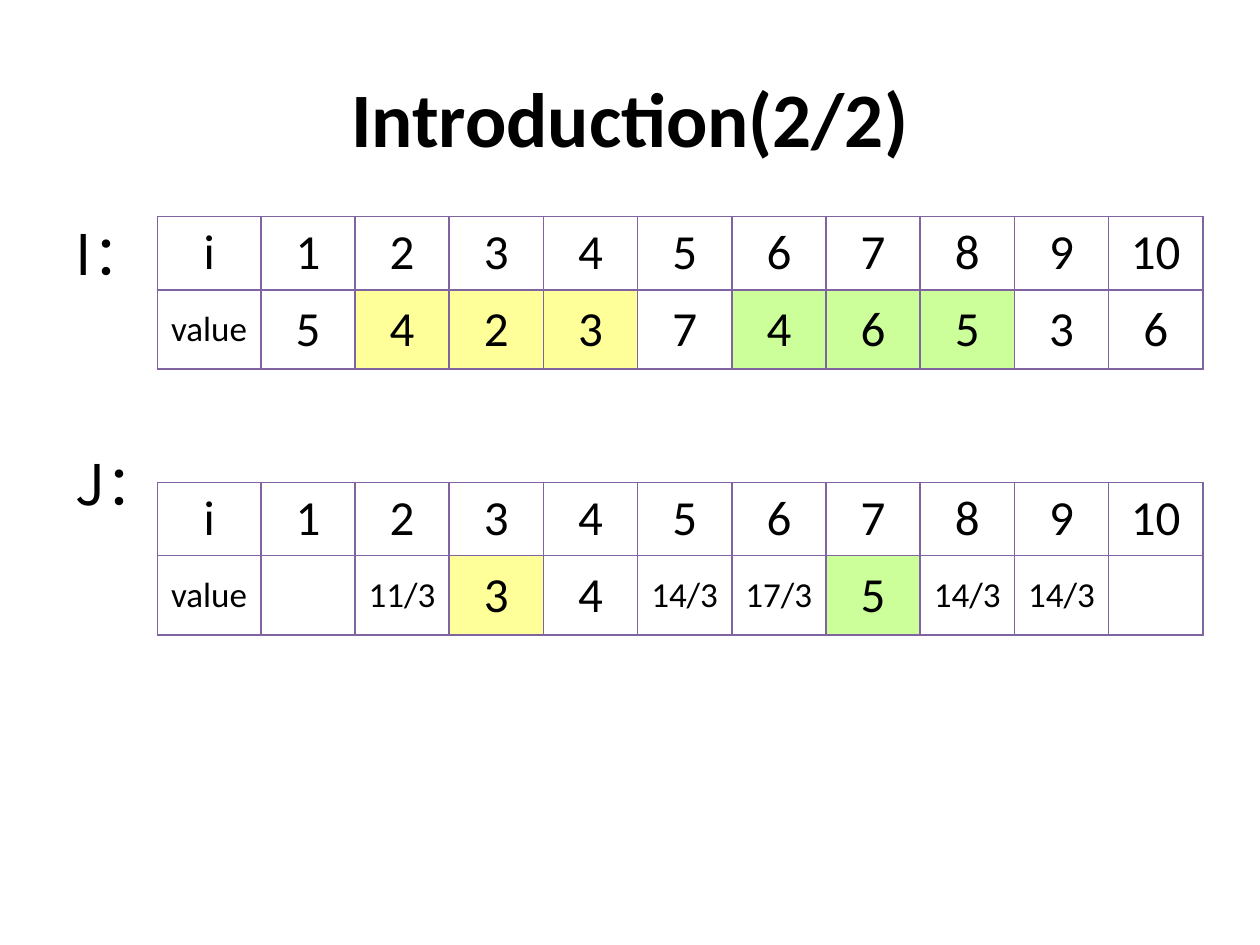
"""Build the slide that shows sequence I and its moving averages J."""
from lxml import etree
from pptx import Presentation, util as u
from pptx.dml import color
from pptx.enum import text
from pptx.oxml import ns

TITLE = "Introduction(2/2)"
LABELS = ["I", "J"]
INDEX = ["i", *map(str, range(1, 11))]
YELLOW, GREEN, BORDER, BLACK = "FFFF99", "CCFF99", "8064A2", "000000"
SEQUENCES = [
    {"top": 1.72,
     "values": ["value", "5", "4", "2", "3", "7", "4", "6", "5", "3", "6"],
     "fills": {2: YELLOW, 3: YELLOW, 4: YELLOW, 6: GREEN, 7: GREEN, 8: GREEN}},
    {"top": 3.83,
     "values": ["value", "", "11/3", "3", "4", "14/3", "17/3", "5", "14/3", "14/3", ""],
     "fills": {3: YELLOW, 7: GREEN}},
]
LEFT, WIDTH, HEAD_WIDTH = 1.25, 8.3, 0.82
ROW_HEIGHTS = [0.58, 0.63]


def rgb(code):
    return color.RGBColor.from_string(code)


def style(font, size, name="Calibri", bold=False):
    font.size, font.name, font.bold = u.Pt(size), name, bold
    font.color.rgb = rgb(BLACK)


def place(shape, left, top, width, height):
    shape.left, shape.top = u.Inches(left), u.Inches(top)
    shape.width, shape.height = u.Inches(width), u.Inches(height)


def add_borders(cell):
    properties = cell._tc.get_or_add_tcPr()
    for position, side in enumerate(("lnL", "lnR", "lnT", "lnB")):
        line = etree.Element(ns.qn(f"a:{side}"), w=str(u.Pt(1)))
        fill = etree.SubElement(line, ns.qn("a:solidFill"))
        etree.SubElement(fill, ns.qn("a:srgbClr"), val=BORDER)
        properties.insert(position, line)


def fill_cell(cell, value, fill):
    cell.vertical_anchor = text.MSO_ANCHOR.MIDDLE
    if fill:
        cell.fill.solid()
        cell.fill.fore_color.rgb = rgb(fill)
    else:
        cell.fill.background()
    add_borders(cell)
    entry = cell.text_frame.paragraphs[0]
    entry.text = value
    entry.alignment = text.PP_ALIGN.CENTER
    style(entry.font, 28 if len(value) < 3 else 20)


def add_sequence(slide, top, values, fills):
    rows = [(INDEX, {}), (values, fills)]
    table = slide.shapes.add_table(
        len(rows), len(INDEX), u.Inches(LEFT), u.Inches(top),
        u.Inches(WIDTH), u.Inches(sum(ROW_HEIGHTS))).table
    table.first_row = table.horz_banding = False
    value_width = (WIDTH - HEAD_WIDTH) / (len(INDEX) - 1)
    for number, column in enumerate(table.columns):
        column.width = u.Inches(value_width if number else HEAD_WIDTH)
    for row, height, (entries, colours) in zip(table.rows, ROW_HEIGHTS, rows):
        row.height = u.Inches(height)
        for number, (cell, value) in enumerate(zip(row.cells, entries)):
            fill_cell(cell, value, colours.get(number))


def add_labels(body):
    frame = body.text_frame
    frame.auto_size = text.MSO_AUTO_SIZE.NONE
    for number, letter in enumerate(LABELS):
        label = frame.add_paragraph() if number else frame.paragraphs[0]
        properties = label._p.get_or_add_pPr()
        properties.set("marL", str(u.Inches(0.38)))
        properties.set("indent", str(-u.Inches(0.38)))
        etree.SubElement(properties, ns.qn("a:buNone"))
        label.line_spacing = 0.9
        label.space_before = u.Pt(97 if number else 0)
        for part, name in ((letter, "Noto Sans CJK SC"), ("：", "Calibri")):
            run = label.add_run()
            run.text = part
            style(run.font, 32, name)


def main():
    deck = Presentation()
    deck.slide_width, deck.slide_height = u.Inches(10), u.Inches(7.5)
    slide = deck.slides.add_slide(deck.slide_layouts[1])
    title, body = slide.placeholders
    place(title, 0.5, 0.3, 9, 1.25)
    title.text_frame.text = TITLE
    heading = title.text_frame.paragraphs[0]
    heading.alignment = text.PP_ALIGN.CENTER
    style(heading.font, 44, bold=True)
    place(body, 0.5, 1.75, 9, 4.95)
    add_labels(body)
    for sequence in SEQUENCES:
        add_sequence(slide, **sequence)
    deck.save("out.pptx")


if __name__ == "__main__":
    main()
